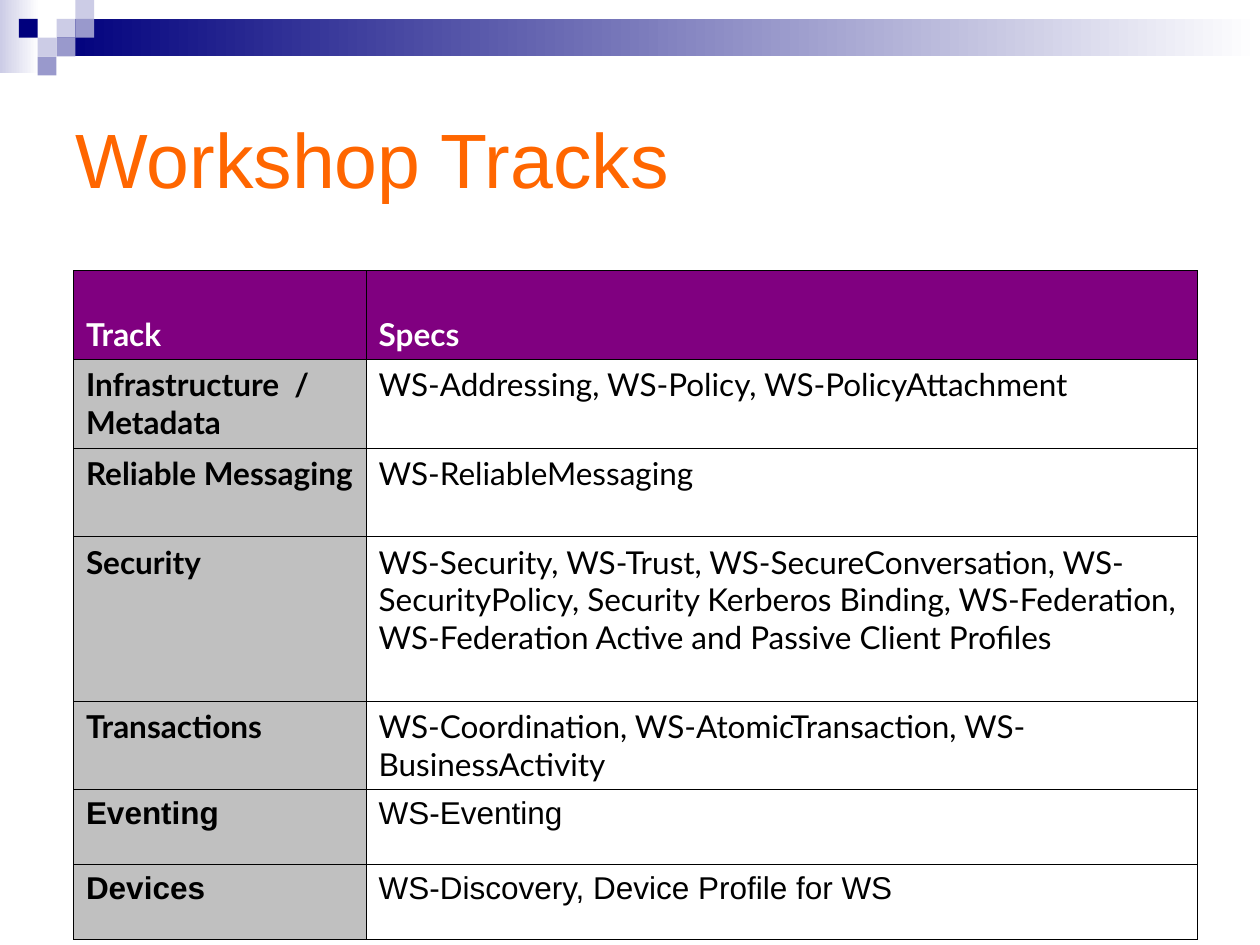
from dataclasses import dataclass
from lxml import etree
from pptx import Presentation
from pptx import util as u
from pptx.dml.color import RGBColor
from pptx.enum import shapes, text
from pptx.oxml.ns import qn


@dataclass(frozen=True)
class Theme:
    """Colours, fonts and type sizes."""
    navy: str = "00007D"
    mid: str = "9999CC"
    pale: str = "CCCCE6"
    white: str = "FFFFFF"
    black: str = "000000"
    title: str = "FF6600"
    header: str = "800080"
    label: str = "C0C0C0"
    sans: str = "Arial"
    body: str = "Lato"
    title_pt: int = 44
    body_pt: int = 18
    rule_pt: float = 0.35


T = Theme()
TALL, TALLEST, SHORT = 1.79, 3.31, 1.51
TRACKS = [
    ("Track", "Specs", TALL, T.body),
    ("Infrastructure  / Metadata", "WS-Addressing, WS-Policy, WS-PolicyAttachment", TALL, T.body),
    ("Reliable Messaging", "WS-ReliableMessaging", TALL, T.body),
    ("Security", "WS-Security, WS-Trust, WS-SecureConversation, WS-SecurityPolicy, "
     "Security Kerberos Binding, WS-Federation, "
     "WS-Federation Active and Passive Client Profiles", TALLEST, T.body),
    ("Transactions", "WS-Coordination, WS-AtomicTransaction, WS-BusinessActivity", TALL, T.body),
    ("Eventing", "WS-Eventing", SHORT, T.sans),
    ("Devices", "WS-Discovery, Device Profile for WS", SHORT, T.sans),
]


def rgb(colour):
    """Return an RGBColor for a hex string."""
    return RGBColor.from_string(colour)


def style(p, font, size, colour, bold=False):
    """Set the font of a paragraph."""
    f = p.font
    f.name, f.size, f.bold = font, u.Pt(size), bold
    f.color.rgb = rgb(colour)


def block(s, x, y, w, h, colour, fade=False):
    """Add a borderless rectangle, solid or fading to white on the right."""
    sp = s.shapes.add_shape(shapes.MSO_SHAPE.RECTANGLE, u.Cm(x), u.Cm(y), u.Cm(w), u.Cm(h))
    sp.shadow.inherit = False
    sp.line.fill.background()
    if fade:
        sp.fill.gradient()
        sp.fill.gradient_angle = 0
        for stop, c in zip(sp.fill.gradient_stops, (colour, T.white)):
            stop.color.rgb = rgb(c)
    else:
        sp.fill.solid()
        sp.fill.fore_color.rgb = rgb(colour)


def banner(s, x, y, w):
    """Draw the fading bars and the stepped squares along the top."""
    q = 0.38
    left = x + 0.38
    block(s, x, y, 0.79, 1.47, T.pale, fade=True)
    block(s, left + 2 * q, y + q, w - 0.38 - 2 * q, 2 * q, T.navy, fade=True)
    squares = [(2, 1, T.pale), (3, 0, T.pale), (3, 1, T.mid), (1, 2, T.pale),
               (0, 1, T.navy), (2, 2, T.mid), (1, 3, T.mid)]
    for col, row, colour in squares:
        block(s, left + col * q, y + row * q, q, q, colour)


def title(s, x, y, w, h, words):
    """Add the slide title, centred vertically in its box."""
    tf = s.shapes.add_textbox(u.Cm(x), u.Cm(y), u.Cm(w), u.Cm(h)).text_frame
    tf.word_wrap = True
    tf.vertical_anchor = text.MSO_ANCHOR.MIDDLE
    p = tf.paragraphs[0]
    p.text = words
    style(p, T.sans, T.title_pt, T.title)


def borders(cell):
    """Rule the four sides of a cell, ahead of its fill."""
    pr = cell._tc.get_or_add_tcPr()
    for i, side in enumerate(("lnL", "lnR", "lnT", "lnB")):
        ln = etree.Element(qn("a:" + side), w=str(u.Pt(T.rule_pt)))
        fill = etree.SubElement(ln, qn("a:solidFill"))
        etree.SubElement(fill, qn("a:srgbClr"), val=T.black)
        pr.insert(i, ln)


def track_table(s, x, y, widths, tracks):
    """Add the table of tracks and their specs."""
    heights = [track[2] for track in tracks]
    table = s.shapes.add_table(len(tracks), len(widths), u.Cm(x), u.Cm(y),
                               u.Cm(sum(widths)), u.Cm(sum(heights))).table
    table.horz_banding = False
    for col, w in zip(table.columns, widths):
        col.width = u.Cm(w)
    for i, (track, specs, h, font) in enumerate(tracks):
        table.rows[i].height = u.Cm(h)
        for j, words in enumerate((track, specs)):
            cell = table.cell(i, j)
            cell.text = words
            cell.vertical_anchor = text.MSO_ANCHOR.TOP if i else text.MSO_ANCHOR.BOTTOM
            cell.fill.solid()
            cell.fill.fore_color.rgb = rgb(T.header if i == 0 else (T.label, T.white)[j])
            style(cell.text_frame.paragraphs[0], font, T.body_pt,
                  T.black if i else T.white, i == 0 or j == 0)
            borders(cell)


def main():
    """Build the slide and save it."""
    prs = Presentation()
    prs.slide_width, prs.slide_height = u.Cm(25.4), u.Cm(19.05)
    s = prs.slides.add_slide(prs.slide_layouts[6])
    banner(s, 0, 0, 25.4)
    title(s, 1.27, 1.27, 22.86, 3.81, "Workshop Tracks")
    track_table(s, 1.48, 5.45, (5.9, 16.75), TRACKS)
    prs.save("out.pptx")


main()
